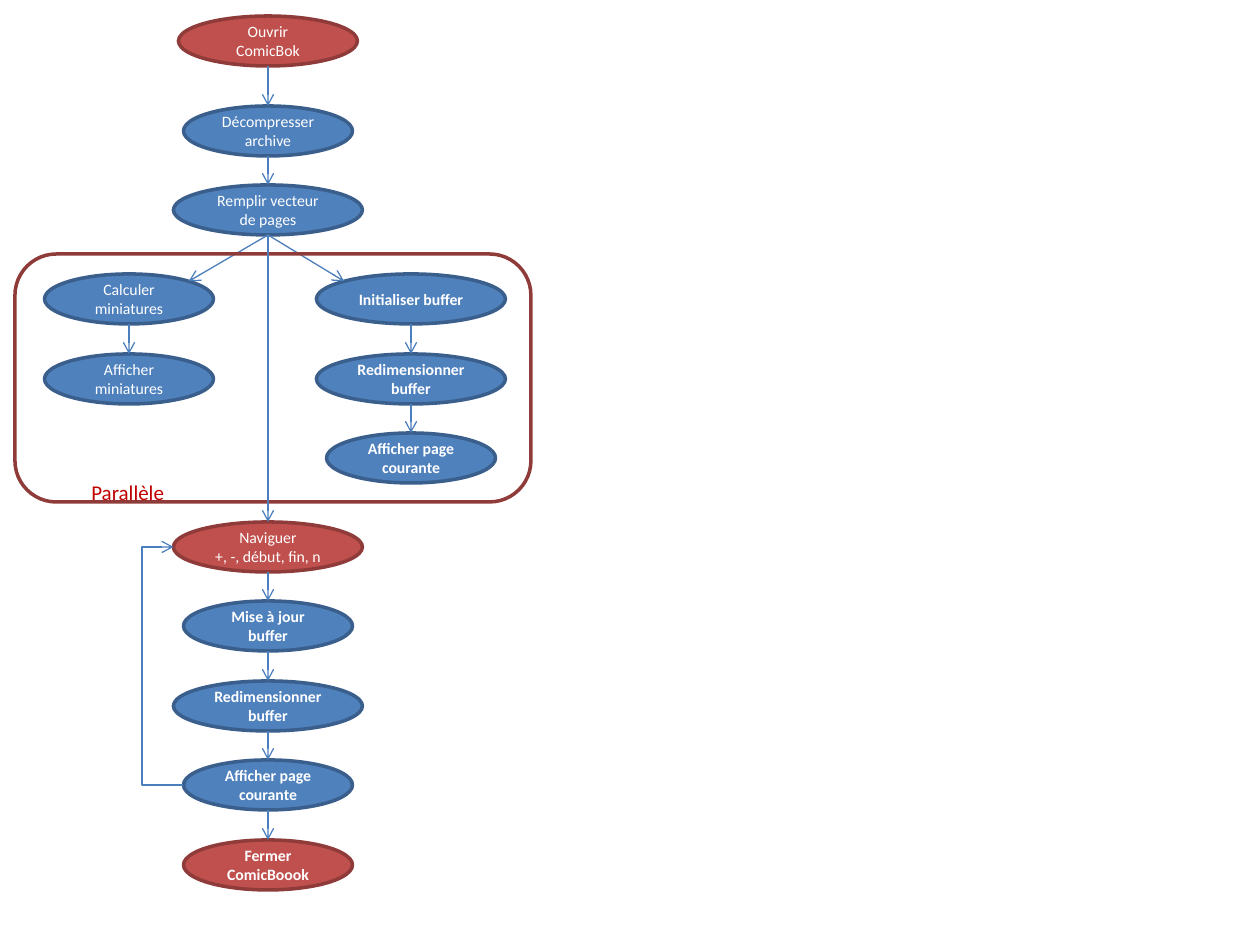
"""Build the comic book reader flowchart slide."""
from lxml import etree
from pptx import Presentation
from pptx.dml.color import RGBColor
from pptx.enum.shapes import MSO_CONNECTOR, MSO_SHAPE
from pptx.enum.text import MSO_ANCHOR, PP_ALIGN
from pptx.oxml.ns import qn
from pptx.util import Pt

PX = 914400 // 126
STRAIGHT, ELBOW = MSO_CONNECTOR.STRAIGHT, MSO_CONNECTOR.ELBOW
OVAL, ROUNDED = MSO_SHAPE.OVAL, MSO_SHAPE.ROUNDED_RECTANGLE
MIDDLE, CENTER = MSO_ANCHOR.MIDDLE, PP_ALIGN.CENTER
WHITE = RGBColor(0xFF, 0xFF, 0xFF)
RED, DARK_RED = RGBColor(0xC0, 0x50, 0x4D), RGBColor(0x8E, 0x3B, 0x39)
BLUE, DARK_BLUE = RGBColor(0x4F, 0x81, 0xBD), RGBColor(0x3A, 0x5F, 0x8C)
ARROW_BLUE, LABEL_RED = RGBColor(0x4B, 0x7E, 0xBC), RGBColor(0xC0, 0, 0)
FONT = "Calibri"

LEFT, MID, RIGHT = 129, 268, 411
NARROW, MEDIUM, WIDE, HEIGHT = 169, 179, 189, 50
USER, SYSTEM = (RED, DARK_RED), (BLUE, DARK_BLUE)

# key: (text, centre x, top, width, colours, bold)
STEPS = {
    "open": ("Ouvrir ComicBok", MID, 16, MEDIUM, USER, False),
    "unzip": ("Décompresser archive", MID, 106, NARROW, SYSTEM, False),
    "fill": ("Remplir vecteur de pages", MID, 185, WIDE, SYSTEM, False),
    "thumbs": ("Calculer miniatures", LEFT, 274, NARROW, SYSTEM, False),
    "show_thumbs": ("Afficher miniatures", LEFT, 354, NARROW, SYSTEM, False),
    "init": ("Initialiser buffer", RIGHT, 274, WIDE, SYSTEM, True),
    "resize": ("Redimensionner buffer", RIGHT, 354, WIDE, SYSTEM, True),
    "show": ("Afficher page courante", RIGHT, 433, NARROW, SYSTEM, True),
    "browse": ("Naviguer\n+, -, début, fin, n", MID, 522, WIDE, USER, False),
    "update": ("Mise à jour buffer", MID, 601, NARROW, SYSTEM, True),
    "resize_again": ("Redimensionner buffer", MID, 681, WIDE, SYSTEM, True),
    "show_again": ("Afficher page courante", MID, 760, NARROW, SYSTEM, True),
    "close": ("Fermer ComicBoook", MID, 840, NARROW, USER, True),
}
CHAINS = [
    ("open", "unzip", "fill", "browse", "update", "resize_again", "show_again", "close"),
    ("thumbs", "show_thumbs"),
    ("init", "resize", "show"),
]
FORKS = [("thumbs", 1), ("init", -1)]
FRAME = (15, 254, 516, 248)
LABEL = ("Parallèle", 79, 473, 100, 38)
LOOP_X = 142


def add_shape(kind, box, line, fill=None):
    sp = s.shapes.add_shape(kind, *(v * PX for v in box))
    sp.shadow.inherit = False
    if fill is None:
        sp.fill.background()
    else:
        sp.fill.solid()
        sp.fill.fore_color.rgb = fill
    sp.line.color.rgb = line
    sp.line.width = Pt(2)
    return sp


def write(tf, text, size, color, bold=False, align=None):
    tf.text = text
    for p in tf.paragraphs:
        p.alignment = align
        p.font.name, p.font.size = FONT, Pt(size)
        p.font.bold, p.font.color.rgb = bold, color


def add_step(text, cx, top, width, colors, bold):
    fill, line = colors
    sp = add_shape(OVAL, (cx - width / 2, top, width, HEIGHT), line, fill)
    sp.text_frame.word_wrap = True
    sp.text_frame.vertical_anchor = MIDDLE
    write(sp.text_frame, text, 9, WHITE, bold, CENTER)


def add_arrow(start, end, kind=STRAIGHT, at_start=False):
    cxn = s.shapes.add_connector(kind, *(round(v * PX) for v in (*start, *end)))
    cxn.line.color.rgb = ARROW_BLUE
    cxn.line.width = Pt(0.75)
    tail = etree.SubElement(cxn.line._get_or_add_ln(), qn("a:tailEnd"))
    tail.set("type", "arrow")
    etree.SubElement(cxn._element.spPr, qn("a:effectLst"))
    return cxn


def top_of(key):
    return STEPS[key][1], STEPS[key][2]


def bottom_of(key):
    return STEPS[key][1], STEPS[key][2] + HEIGHT


def left_of(key):
    _, cx, top, width, _, _ = STEPS[key]
    return cx - width / 2, top + HEIGHT / 2


def add_loop(source, target):
    (x1, y1), (x2, y2) = left_of(source), left_of(target)
    cxn = add_arrow((x2, y2), (x1, y1), ELBOW)
    cxn._element.spPr.find(qn("a:xfrm")).set("rot", "10800000")
    geom = cxn._element.spPr.find(qn("a:prstGeom"))
    guide = etree.SubElement(geom.find(qn("a:avLst")), qn("a:gd"))
    guide.set("name", "adj1")
    guide.set("fmla", f"val {round((x1 - LOOP_X) / (x1 - x2) * 100000)}")


prs = Presentation()
prs.slide_width, prs.slide_height = 1260 * PX, 945 * PX
s = prs.slides.add_slide(prs.slide_layouts[6])

for step in STEPS.values():
    add_step(*step)

for key, side in FORKS:
    _, cx, top, width, _, _ = STEPS[key]
    diagonal = 0.5 ** 0.5 / 2
    corner = (cx + side * width * diagonal, top + HEIGHT * (0.5 - diagonal))
    add_arrow(bottom_of("fill"), corner)

add_shape(ROUNDED, FRAME, DARK_RED)
label, *box = LABEL
tf = s.shapes.add_textbox(*(v * PX for v in box)).text_frame
tf.word_wrap = False
write(tf, label, 12, LABEL_RED)

for chain in CHAINS:
    for source, target in zip(chain, chain[1:]):
        add_arrow(bottom_of(source), top_of(target))
add_loop("show_again", "browse")

prs.save("out.pptx")
